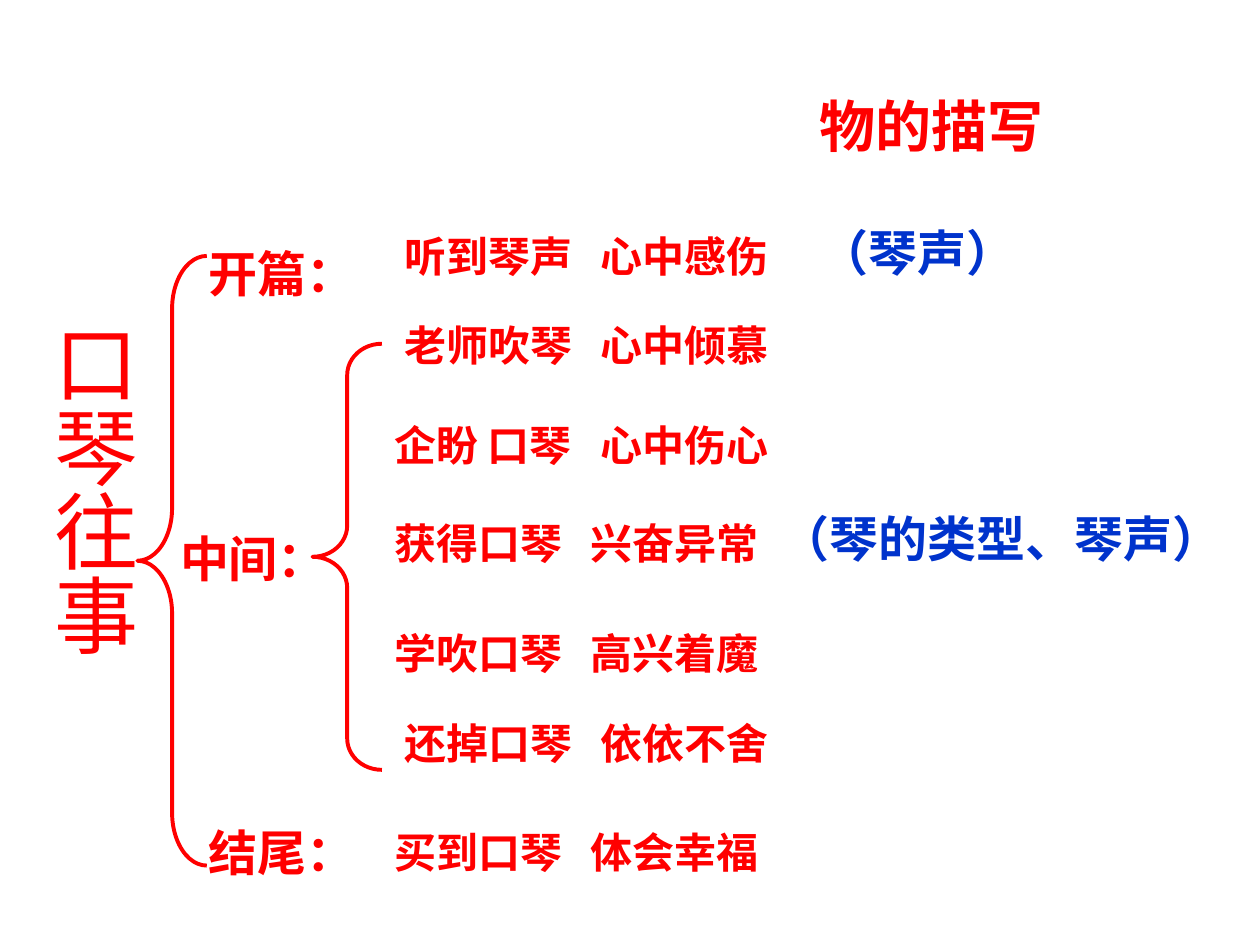
from lxml import etree
from pptx import Presentation
from pptx.dml.color import RGBColor
from pptx.enum.shapes import MSO_SHAPE
from pptx.enum.text import MSO_ANCHOR, MSO_AUTO_SIZE, PP_ALIGN
from pptx.oxml.ns import qn
from pptx.util import Cm, Pt

LEFT_BRACE = MSO_SHAPE.LEFT_BRACE
TOP, MIDDLE = MSO_ANCHOR.TOP, MSO_ANCHOR.MIDDLE
GROW = MSO_AUTO_SIZE.SHAPE_TO_FIT_TEXT
LEFT = PP_ALIGN.LEFT

COLORS = {"red": "FF0000", "blue": "0033CC"}
CJK_FONT = "Noto Sans CJK SC"
LATIN_FONT = "Arial"

PLOT_LINES = [
    (7.9, 4.52, 3.95, "听到琴声", "心中感伤"),
    (7.9, 6.32, 3.95, "老师吹琴", "心中倾慕"),
    (7.7, 8.33, 4.15, "企盼 口琴", "心中伤心"),
    (7.7, 10.31, 3.95, "获得口琴", "兴奋异常"),
    (7.7, 12.52, 3.95, "学吹口琴", "高兴着魔"),
    (7.9, 14.33, 3.95, "还掉口琴", "依依不舍"),
    (7.7, 16.54, 3.95, "买到口琴", "体会幸福"),
]


def place(shape, left, top, width, height):
    shape.left, shape.top = Cm(left), Cm(top)
    shape.width, shape.height = Cm(width), Cm(height)


def write_text(shape, text, size, color, font, bold=True, anchor=TOP):
    frame = shape.text_frame
    frame.word_wrap = True
    frame.auto_size = GROW
    frame.vertical_anchor = anchor
    frame.text = text
    paragraph = frame.paragraphs[0]
    paragraph.alignment = LEFT
    run = paragraph.runs[0]
    run.font.size = Pt(size)
    run.font.bold = bold
    run.font.name = font
    run.font.color.rgb = RGBColor.from_string(COLORS[color])
    if font == CJK_FONT:
        east_asian = etree.SubElement(run.font._element, qn("a:ea"))
        east_asian.set("typeface", font)
    return paragraph


def add_vertical_title(slide, text):
    title = slide.shapes.title
    place(title, 0.58, 6.35, 2.57, 10.21)
    write_text(title, text, 48, "red", CJK_FONT, bold=False)
    title.text_frame._txBody.bodyPr.set("vert", "eaVert")


def add_label(slide, bounds, text, size=28, color="red", font=LATIN_FONT, anchor=TOP):
    box = slide.shapes.add_textbox(*map(Cm, bounds))
    return write_text(box, text, size, color, font, anchor=anchor)


def add_plot_line(slide, left, top, tab_position, event, feeling):
    paragraph = add_label(slide, (left, top, 8.5, 1.27), f"{event}\t{feeling}",
                          24, font=CJK_FONT, anchor=MIDDLE)
    tab_list = etree.SubElement(paragraph._p.get_or_add_pPr(), qn("a:tabLst"))
    tab = etree.SubElement(tab_list, qn("a:tab"))
    tab.set("pos", str(Cm(tab_position)))
    tab.set("algn", "l")


def add_brace(slide, bounds, curve):
    brace = slide.shapes.add_shape(LEFT_BRACE, *map(Cm, bounds))
    brace.adjustments[0] = curve
    brace.shadow.inherit = False
    brace.fill.background()
    brace.line.color.rgb = RGBColor.from_string(COLORS["red"])
    brace.line.width = Pt(2.25)


def main():
    presentation = Presentation()
    presentation.slide_width, presentation.slide_height = Cm(25.4), Cm(19.05)
    slide = presentation.slides.add_slide(presentation.slide_layouts[5])

    add_vertical_title(slide, "口琴往事")
    add_brace(slide, (2.77, 5.16, 1.4, 12.29), 0.76)
    add_brace(slide, (6.3, 6.93, 1.4, 8.59), 0.45)

    add_label(slide, (3.96, 4.78, 3.76, 1.45), "开篇：", anchor=MIDDLE)
    add_label(slide, (3.38, 10.52, 3.76, 1.45), "中间：", anchor=MIDDLE)
    add_label(slide, (3.96, 16.46, 3.53, 1.45), "结尾：")

    for plot_line in PLOT_LINES:
        add_plot_line(slide, *plot_line)

    heading = add_label(slide, (16.28, 1.98, 5.84, 1.35), "物的描写", 32)
    heading.line_spacing = 0.8
    add_label(slide, (16.28, 4.37, 5, 1.45), "（琴声）", color="blue")
    add_label(slide, (15.49, 10.13, 9.91, 1.45), "（琴的类型、琴声）", color="blue")

    presentation.save("out.pptx")


if __name__ == "__main__":
    main()
